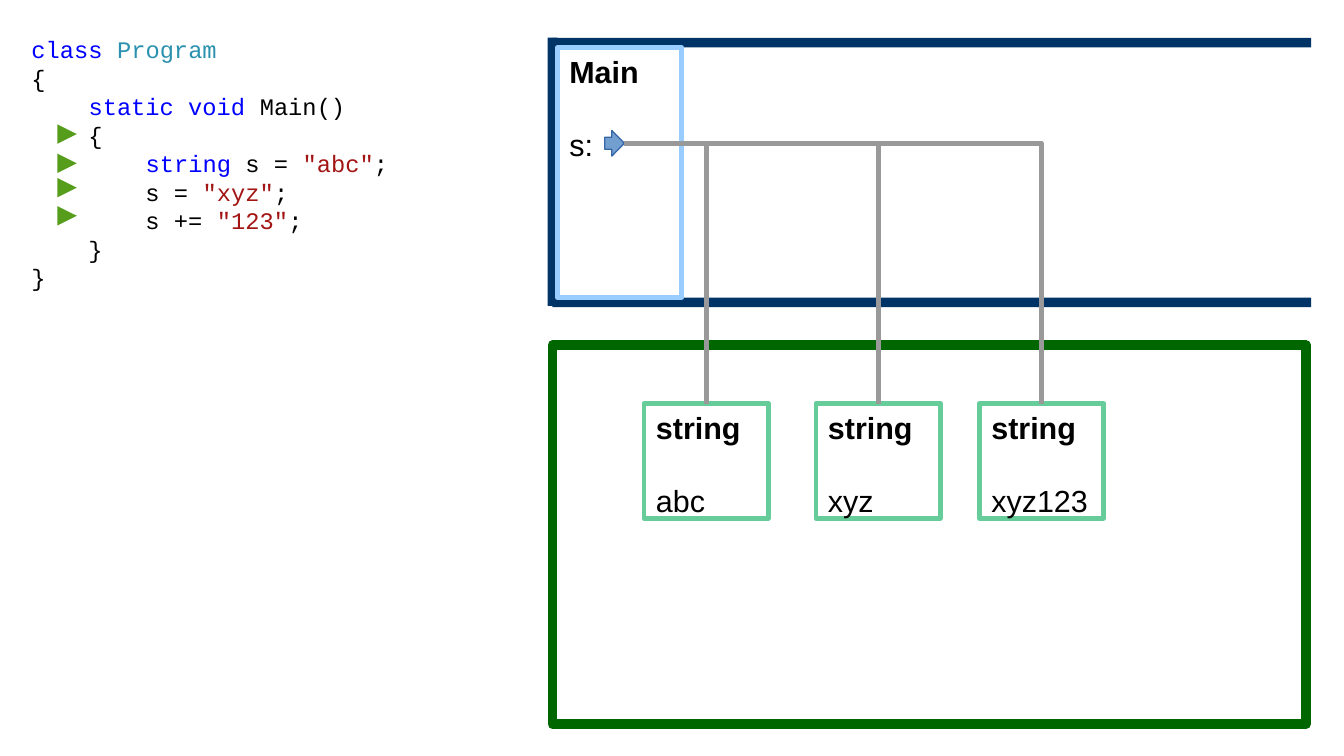
from dataclasses import dataclass

from pptx import Presentation
from pptx.dml.color import RGBColor
from pptx.enum.shapes import MSO_CONNECTOR, MSO_SHAPE
from pptx.enum.text import MSO_ANCHOR, PP_ALIGN
from pptx.oxml.ns import qn
from pptx.util import Inches, Pt

RECT = MSO_SHAPE.RECTANGLE
ARROW = MSO_SHAPE.RIGHT_ARROW
MARK = MSO_SHAPE.ISOSCELES_TRIANGLE
ELBOW = MSO_CONNECTOR.ELBOW
TOP = MSO_ANCHOR.TOP
LEFT = PP_ALIGN.LEFT
RIGHT_SITE, TOP_SITE = 3, 0


@dataclass(frozen=True)
class Theme:
    ink: str = "000000"
    key: str = "0000FF"
    kind: str = "2B91AF"
    text: str = "A31515"
    stack: str = "003366"
    frame: str = "99CCFF"
    heap: str = "006600"
    cell: str = "66CC99"
    mark: str = "579D1C"
    arrow: str = "729FCF"
    edge: str = "3465A4"
    link: str = "999999"
    mono: str = "Courier New"
    sans: str = "Arial"
    code_size: float = 14
    code_lead: float = 16.8
    label_size: float = 18
    label_lead: float = 21.5
    thin: float = 2.83
    thick: float = 5.67


@dataclass(frozen=True)
class Area:
    left: float
    top: float
    width: float
    height: float


@dataclass(frozen=True)
class Card:
    area: Area
    head: str
    body: str
    color: str


T = Theme()
CODE = (
    (("class ", T.key), ("Program", T.kind)),
    (("{", T.ink),),
    (("    ", T.ink), ("static void", T.key), (" Main()", T.ink)),
    (("    {", T.ink),),
    (("        ", T.ink), ("string", T.key), (" s = ", T.ink),
     ('"abc"', T.text), (";", T.ink)),
    (("        s = ", T.ink), ('"xyz"', T.text), (";", T.ink)),
    (("        s += ", T.ink), ('"123"', T.text), (";", T.ink)),
    (("    }", T.ink),),
    (("}", T.ink),),
)
BARS = (
    Area(4.53, 2.44, 6.22, 0.08),
    Area(4.49, 0.31, 0.08, 2.2),
    Area(4.53, 0.31, 6.22, 0.08),
)
HEAP = Area(4.53, 2.83, 6.18, 3.11)
MAIN = Card(Area(4.57, 0.39, 1.02, 2.05), "Main", "s:", T.frame)
CELLS = tuple(
    Card(Area(left, 3.31, 1.02, 0.94), "string", body, T.cell)
    for left, body in ((5.28, "abc"), (6.69, "xyz"), (8.03, "xyz123"))
)
MARKS = tuple(Area(0.47, top, 0.16, 0.16) for top in (1.02, 1.26, 1.46, 1.69))


def place(area: Area) -> tuple:
    return tuple(map(Inches, (area.left, area.top, area.width, area.height)))


def draw(slide, form, area: Area, fill: str = "", line: str = "",
         width: float = 0):
    shape = slide.shapes.add_shape(form, *place(area))
    shape.shadow.inherit = False
    if fill:
        shape.fill.solid()
        shape.fill.fore_color.rgb = RGBColor.from_string(fill)
    else:
        shape.fill.background()
    if line:
        shape.line.color.rgb = RGBColor.from_string(line)
        shape.line.width = Pt(width)
    else:
        shape.line.fill.background()
    return shape


def write(shape, rows: tuple, face: str, size: float, lead: float) -> list:
    frame = shape.text_frame
    frame.word_wrap = True
    frame.vertical_anchor = TOP
    lines = []
    for index, row in enumerate(rows):
        line = frame.add_paragraph() if index else frame.paragraphs[0]
        line.alignment = LEFT
        line.line_spacing = Pt(lead)
        line.font.name = face
        line.font.size = Pt(size)
        for text, color in row:
            run = line.add_run()
            run.text = text
            run.font.color.rgb = RGBColor.from_string(color)
        lines.append(line)
    return lines


def show(slide, card: Card):
    shape = draw(slide, RECT, card.area, line=card.color, width=T.thin)
    rows = tuple(((text, T.ink),) for text in (card.head, card.body))
    head, body = write(shape, rows, T.sans, T.label_size, T.label_lead)
    head.font.bold = True
    body.space_before = Pt(T.label_lead)
    return shape


def link(slide, start, end) -> None:
    line = slide.shapes.add_connector(ELBOW, 0, 0, 0, 0)
    line.begin_connect(start, RIGHT_SITE)
    line.end_connect(end, TOP_SITE)
    line.line.color.rgb = RGBColor.from_string(T.link)
    line.line.width = Pt(T.thin)
    props = line._element.spPr
    props.find(qn("a:prstGeom")).set("prst", "bentConnector2")
    props.append(props.makeelement(qn("a:effectLst"), {}))


def main() -> None:
    deck = Presentation()
    deck.slide_width = Inches(11.02)
    deck.slide_height = Inches(6.2)
    slide = deck.slides.add_slide(deck.slide_layouts[6])

    code = slide.shapes.add_textbox(*place(Area(0.16, 0.24, 3.7, 2.61)))
    write(code, CODE, T.mono, T.code_size, T.code_lead)
    for bar in BARS:
        draw(slide, RECT, bar, fill=T.stack)
    show(slide, MAIN)
    for mark in MARKS:
        draw(slide, MARK, mark, fill=T.mark).rotation = 90
    draw(slide, RECT, HEAP, line=T.heap, width=T.thick)

    arrow = draw(slide, ARROW, Area(4.96, 1.07, 0.16, 0.21), T.arrow, T.edge)
    arrow.adjustments[0] = 0.47
    arrow.adjustments[1] = 0.64
    for cell in CELLS:
        link(slide, arrow, show(slide, cell))
    deck.save("out.pptx")


if __name__ == "__main__":
    main()
